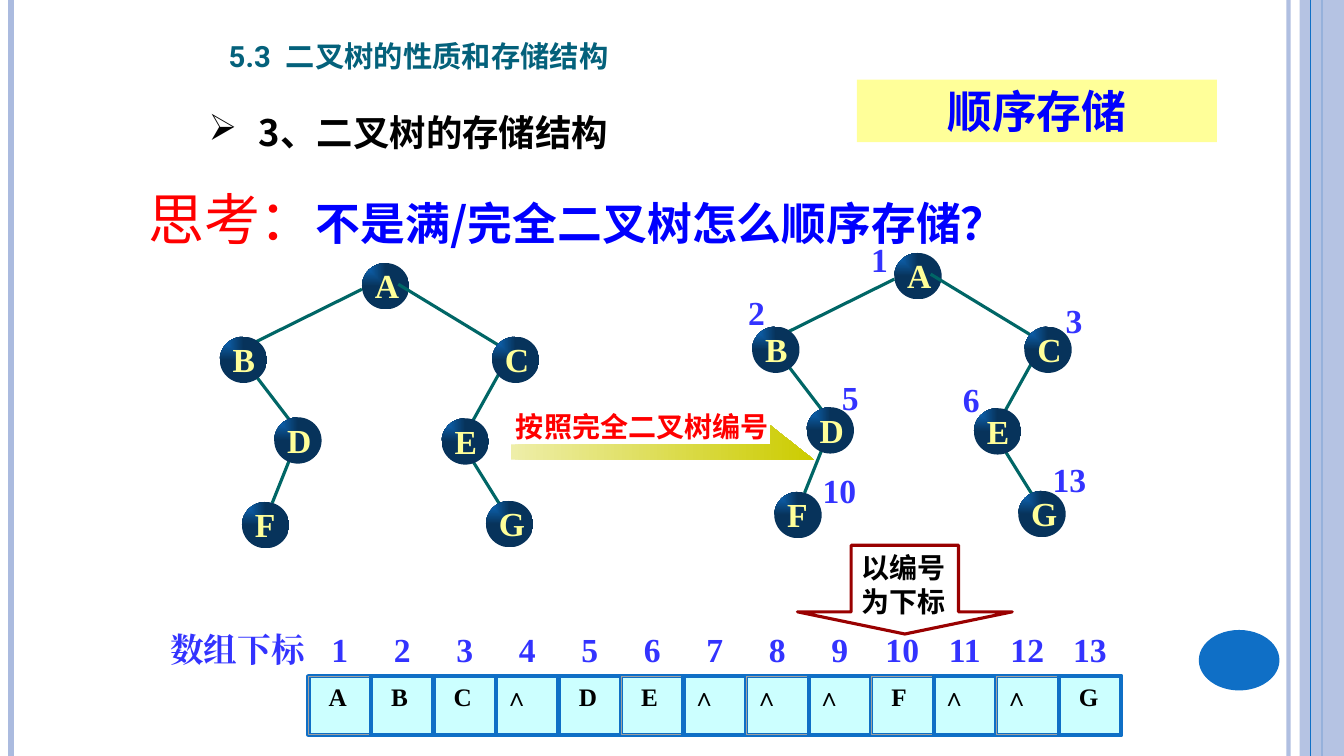
from copy import deepcopy
from lxml.etree import SubElement
from pptx import Presentation
from pptx.dml.color import RGBColor
from pptx.enum.shapes import MSO_CONNECTOR as MC, MSO_SHAPE as MS
from pptx.enum.text import MSO_ANCHOR as MA, PP_ALIGN as PA
from pptx.oxml import parse_xml
from pptx.oxml.ns import nsdecls, qn
from pptx.shapes.connector import Connector
from pptx.util import Inches as I, Pt

SANS, SERIF = "Noto Sans CJK SC", "Times New Roman"
BLUE, PALE, INDEX, PURE = "0F6FC6", "ABBBDF", "3333FF", "0000FF"
rgb = RGBColor.from_string


def paint(sp, fill=None, line=None, width=0, alpha=None):
    pr = sp._element.spPr
    if isinstance(sp, Connector):
        sp.line.width = Pt(width)
        sp.line.color.rgb = rgb(line)
        SubElement(pr, qn("a:effectLst"))
    else:
        sp.shadow.inherit = False
        if fill:
            sp.fill.solid()
            sp.fill.fore_color.rgb = rgb(fill)
        else:
            sp.fill.background()
        if line:
            sp.line.width = Pt(width)
            sp.line.color.rgb = rgb(line)
        else:
            sp.line.fill.background()
    if alpha:
        for color in pr.iter(qn("a:srgbClr")):
            SubElement(color, qn("a:alpha")).set("val", str(alpha * 1000))
    return sp


def write(sp, text, size, color, font=SANS, bold=True, align=PA.LEFT,
          anchor=MA.TOP, inset=(0.1, 0.05, 0.1, 0.05)):
    tf = sp.text_frame
    tf.text = text
    tf.word_wrap = True
    tf.vertical_anchor = anchor
    tf.margin_left, tf.margin_top, tf.margin_right, tf.margin_bottom = map(I, inset)
    for p in tf.paragraphs:
        p.alignment = align
        for r in p.runs:
            r.font.size, r.font.bold, r.font.name = Pt(size), bold, font
            r.font.color.rgb = rgb(color)
            SubElement(r._r.get_or_add_rPr(), qn("a:ea")).set("typeface", font)
    return tf.paragraphs[0]


prs = Presentation()
prs.slide_width, prs.slide_height = I(13.33), I(7.5)
s = prs.slides.add_slide(prs.slide_layouts[6])
shapes = s.shapes

# Side stripes and page dot
for x, color, width, alpha in [(12.78, PALE, 3, 93), (0.11, PALE, 4.5, None),
                               (13.11, BLUE, 1.5, None)]:
    stripe = shapes.add_connector(MC.STRAIGHT, I(x), 0, I(x), prs.slide_height)
    paint(stripe, line=color, width=width, alpha=alpha)
band = shapes.add_shape(MS.RECTANGLE, I(12.89), 0, I(0.44), prs.slide_height)
paint(band, PALE, alpha=87)
stripe = shapes.add_connector(MC.STRAIGHT, I(13), 0, I(13), prs.slide_height)
paint(stripe, line=BLUE, width=0.75)
paint(shapes.add_shape(MS.OVAL, I(11.89), I(6.25), I(0.8), I(0.6)), BLUE)

# Headings
sp = shapes.add_textbox(I(2.17), I(0.18), I(5.02), I(0.61))
p = write(sp, "5.3  二叉树的性质和存储结构", 26.2, "04617B", "Roboto", anchor=MA.BOTTOM)
p.runs[0]._r.get_or_add_rPr().set("cap", "small")

sp = shapes.add_textbox(I(1.97), I(0.96), I(4.54), I(0.62))
p = write(sp, "3、二叉树的存储结构", 26, "000000")
p.line_spacing = 1.2
pPr = p._p.get_or_add_pPr()
pPr.set("marL", str(I(0.5)))
pPr.set("indent", str(I(-0.5)))
SubElement(pPr, qn("a:buChar")).set("char", "➢")

sp = paint(shapes.add_shape(MS.RECTANGLE, I(8.5), I(0.79), I(3.57), I(0.62)), "FFFF99")
write(sp, "顺序存储", 32, PURE, align=PA.CENTER, anchor=MA.MIDDLE)

# Question: red lead-in, then blue text
sp = shapes.add_textbox(I(1.37), I(1.78), I(11.12), I(0.77))
p = write(sp, "思考：", 40, "FF0000", bold=False)
r = p.add_run()
r.text = "不是满/完全二叉树怎么顺序存储？"
r._r.insert(0, deepcopy(p.runs[0]._r.rPr))
r.font.size, r.font.bold = Pt(32), True
r.font.color.rgb = rgb(PURE)

# Wedge arrow between the trees
wedge = shapes.build_freeform(I(5.07), I(4.41), scale=1.0)
wedge.add_line_segments([(I(x), I(y)) for x, y in
                         [(5.07, 4.56), (8.07, 4.56), (7.64, 4.22), (7.64, 4.41)]])
sp = paint(wedge.convert_to_shape())
sp.fill.gradient()
sp.fill.gradient_angle = 0
for stop, color in zip(sp.fill.gradient_stops, ["EEEEA9", "CCCC00"]):
    stop.color.rgb = rgb(color)
sp = shapes.add_textbox(I(5), I(4.06), I(2.76), I(0.34))
write(sp, "按照完全二叉树编号", 20, "FF0000", align=PA.CENTER, inset=(0.08, 0, 0.1, 0))

# Array cells: every other one has a hairline border
LEFT, TOP, COL, ROW = 3.06, 6.71, 0.62, 0.58
cells = "ABC∧DE∧∧∧F∧∧G"
sp = shapes.add_shape(MS.RECTANGLE, I(LEFT), I(TOP), I(COL * len(cells)), I(ROW))
paint(sp, "CCFFFF", BLUE, 3)
hairlines = {0: "A0A0A0", 3: BLUE, 5: "A0A0A0", 7: "A0A0A0", 9: "A0A0A0", 11: "A0A0A0"}
for i, value in enumerate(cells):
    sp = shapes.add_shape(MS.RECTANGLE, I(LEFT + i * COL), I(TOP), I(COL), I(ROW))
    paint(sp, None, hairlines.get(i, BLUE), 0 if i in hairlines else 3)
    indent = 0.08 if value == "∧" else 0.2
    write(sp, value, 18, "000000", SERIF, inset=(indent, 0.05, 0, 0.05))

# Array indices, centred over the cells with tab stops
sp = shapes.add_textbox(I(1.59), I(6.19), I(9.75), I(0.5))
p = write(sp, "\t".join(["数组下标", *map(str, range(1, len(cells) + 1))]), 24, INDEX, SERIF)
tabs = SubElement(p._p.get_or_add_pPr(), qn("a:tabLst"))
for i in range(len(cells)):
    tab = SubElement(tabs, qn("a:tab"))
    tab.set("pos", str(I(LEFT + (i + 0.5) * COL - 1.69)))
    tab.set("algn", "ctr")

# Two trees: the right one is the left one shifted
nodes = {"A": (3.59, 2.61), "B": (2.18, 3.34), "C": (4.88, 3.34), "D": (2.72, 4.14),
         "E": (4.38, 4.15), "G": (4.82, 4.97), "F": (2.4, 4.98)}
edges = [(3.59, 2.87, 2.5, 3.41), (3.95, 2.82, 4.97, 3.44), (2.53, 3.72, 2.89, 4.19),
         (4.97, 3.67, 4.67, 4.21), (2.88, 4.54, 2.7, 4.99), (4.68, 4.56, 4.96, 5.01)]
GLOW = (f'<a:gradFill {nsdecls("a")} rotWithShape="1"><a:gsLst>'
        f'<a:gs pos="0"><a:srgbClr val="{BLUE}"/></a:gs>'
        '<a:gs pos="100000"><a:srgbClr val="07335B"/></a:gs></a:gsLst>'
        '<a:path path="rect"><a:fillToRect r="100000" b="100000"/></a:path></a:gradFill>')
for dx, dy in [(0, 0), (5.28, -0.1)]:
    tree = shapes.add_group_shape().shapes
    for name, (x, y) in nodes.items():
        sp = paint(tree.add_shape(MS.OVAL, I(x + dx), I(y + dy), I(0.47), I(0.46)), BLUE)
        pr = sp._element.spPr
        pr.replace(pr.find(qn("a:solidFill")), parse_xml(GLOW))
        write(sp, name, 24, "FFFF99", SERIF, inset=(0.06, 0, 0, 0)).line_spacing = 0.9
        if name == "A":  # edges lie over the root and under the other nodes
            for x1, y1, x2, y2 in edges:
                edge = tree.add_connector(MC.STRAIGHT, I(x1 + dx), I(y1 + dy),
                                          I(x2 + dx), I(y2 + dy))
                paint(edge, line="006666", width=2.25)

# Node numbers of the right tree
numbers = {1: (8.64, 2.37), 2: (7.42, 2.9), 3: (10.57, 2.98), 5: (8.35, 3.74),
           6: (9.55, 3.76), 10: (8.16, 4.66), 13: (10.44, 4.55)}
for number, (x, y) in numbers.items():
    sp = tree.add_textbox(I(x), I(y), I(0.24 if number < 10 else 0.36), I(0.4))
    write(sp, str(number), 24, INDEX, SERIF, inset=(0, 0, 0, 0))

# Arrow down to the array
sp = shapes.add_shape(MS.DOWN_ARROW, I(7.91), I(5.41), I(2.13), I(0.88))
sp.adjustments[0], sp.adjustments[1] = 0.5, 0.25
paint(sp, None, "990000", 2.25)
write(sp, "以编号\n为下标", 20, "000000", anchor=MA.MIDDLE)

prs.save("out.pptx")
